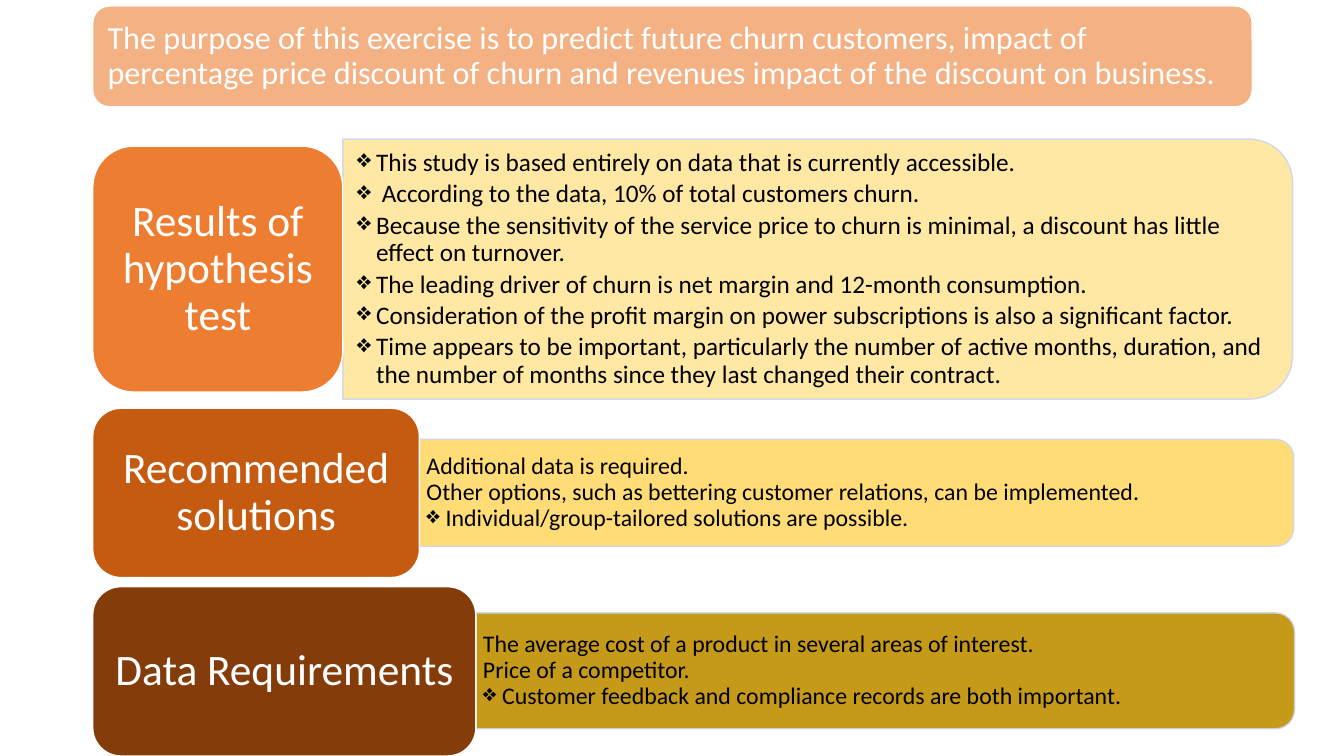
"""Build the churn study summary slide."""
from dataclasses import dataclass

from lxml import etree
from pptx import Presentation
from pptx import util as u
from pptx.dml.color import RGBColor
from pptx.enum import shapes, text
from pptx.oxml import ns

IN = u.Inches
KIND = shapes.MSO_SHAPE


@dataclass(frozen=True)
class Theme:
    """Colours, font and type sizes of the slide."""
    font: str = "Calibri"
    white: str = "FFFFFF"
    ink: str = "000000"
    edge: str = "CFD5EA"
    peach: str = "F4B183"
    labels: tuple = ("ED7D31", "C55A11", "843C0B")
    panels: tuple = ("FFE699", "FFD966", "BF9000")
    intro: int = 23
    head: int = 31
    alpha: int = 90


THEME = Theme()

INTRO = ("The purpose of this exercise is to predict future churn customers, "
         "impact of percentage price discount of churn and revenues impact "
         "of the discount on business.")
ROWS = [
    dict(title="Results of hypothesis test", size=18, gap=3, pad=(0.14, 0.07), plain=0,
         label=(0.92, 1.45, 2.48, 2.44), panel=(3.4, 1.38, 9.42, 2.58), lines=[
             "This study is based entirely on data that is currently accessible.",
             " According to the data, 10% of total customers churn.",
             "Because the sensitivity of the service price to churn is minimal, "
             "a discount has little effect on turnover.",
             "The leading driver of churn is net margin and 12-month consumption.",
             "Consideration of the profit margin on power subscriptions is also "
             "a significant factor.",
             "Time appears to be important, particularly the number of active months, "
             "duration, and the number of months since they last changed their contract."]),
    dict(title="Recommended solutions", size=17, gap=0.5, pad=(0.07, 0.04), plain=2,
         label=(0.92, 4.05, 3.24, 1.68), panel=(4.16, 4.36, 8.67, 1.06), lines=[
             "Additional data is required.",
             "Other options, such as bettering customer relations, can be implemented.",
             "Individual/group-tailored solutions are possible."]),
    dict(title="Data Requirements", size=17, gap=0.5, pad=(0.07, 0.04), plain=2,
         label=(0.92, 5.82, 3.8, 1.68), panel=(4.72, 6.08, 8.12, 1.15), lines=[
             "The average cost of a product in several areas of interest.",
             "Price of a competitor.",
             "Customer feedback and compliance records are both important."]),
]


def fade(fill):
    """Make a solid fill or line slightly transparent."""
    for tone in fill.iter(ns.qn("a:srgbClr")):
        etree.SubElement(tone, ns.qn("a:alpha"), val=str(THEME.alpha * 1000))


def block(slide, kind, box, fill, edge):
    """Add a flat filled shape with a thin outline."""
    shape = slide.shapes.add_shape(kind, *map(IN, box))
    shape.shadow.inherit = False
    shape.fill.solid()
    shape.fill.fore_color.rgb = RGBColor.from_string(fill)
    shape.line.color.rgb = RGBColor.from_string(edge)
    shape.line.width = u.Pt(1)
    return shape


def write(shape, lines, size, tone, align, pad, gap=0):
    """Fill a shape with paragraphs of one style."""
    frame = shape.text_frame
    frame.word_wrap = True
    frame.vertical_anchor = text.MSO_ANCHOR.MIDDLE
    frame.margin_left = frame.margin_right = IN(pad[0])
    frame.margin_top = frame.margin_bottom = IN(pad[1])
    frame.text = "\n".join(lines)
    for para in frame.paragraphs:
        para.alignment = align
        para.line_spacing = 0.9
        para.space_after = u.Pt(gap)
        para.font.name = THEME.font
        para.font.size = u.Pt(size)
        para.font.color.rgb = RGBColor.from_string(tone)
    return frame


def bullet(para):
    """Give a paragraph a diamond bullet with a hanging indent."""
    props = para._p.get_or_add_pPr()
    props.set("marL", str(IN(0.19)))
    props.set("indent", str(-IN(0.19)))
    mark = etree.Element(ns.qn("a:buChar"), char="\u2756")
    props.find(ns.qn("a:defRPr")).addprevious(mark)


def label(slide, box, words, fill, size, align, pad):
    """Add a rounded box with white text."""
    shape = block(slide, KIND.ROUNDED_RECTANGLE, box, fill, THEME.white)
    write(shape, [words], size, THEME.white, align, pad)


def panel(slide, box, row, fill):
    """Add a panel rounded on its right side, with its lines of text."""
    left, top, wide, high = box
    shift = (wide - high) / 2
    turned = (left + shift, top - shift, high, wide)
    shape = block(slide, KIND.ROUND_2_SAME_RECTANGLE, turned, fill, THEME.edge)
    shape.rotation = 90
    fade(shape._element.spPr)
    note = slide.shapes.add_textbox(*map(IN, (left, top, wide - high * 0.05, high)))
    frame = write(note, row["lines"], row["size"], THEME.ink,
                  text.PP_ALIGN.LEFT, row["pad"], row["gap"])
    for para in frame.paragraphs[row["plain"]:]:
        bullet(para)


def build():
    """Make the slide and save it."""
    deck = Presentation()
    deck.slide_width, deck.slide_height = IN(13.33), IN(7.5)
    slide = deck.slides.add_slide(deck.slide_layouts[6])
    label(slide, (0.92, 0.06, 11.5, 1), INTRO, THEME.peach, THEME.intro,
          text.PP_ALIGN.LEFT, (0.1, 0.1))
    for row, dark, light in zip(ROWS, THEME.labels, THEME.panels):
        panel(slide, row["panel"], row, light)
        label(slide, row["label"], row["title"], dark, THEME.head,
              text.PP_ALIGN.CENTER, (0.13, 0.06))
    deck.save("out.pptx")


build()
